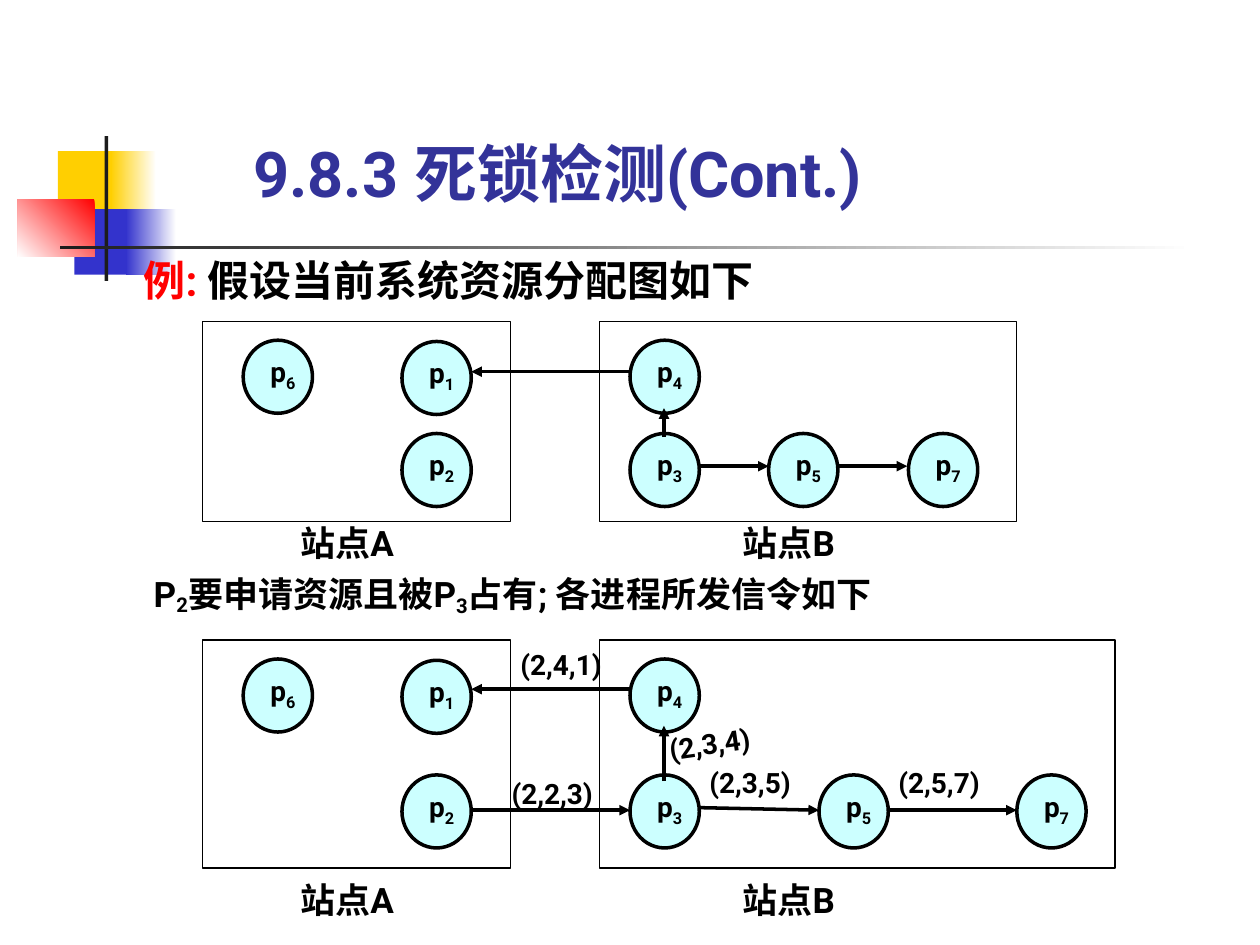
from pptx import Presentation
from pptx.dml.color import RGBColor
from pptx.enum.shapes import MSO_CONNECTOR, MSO_SHAPE
from pptx.enum.text import MSO_ANCHOR, MSO_AUTO_SIZE, PP_ALIGN
from pptx.oxml.ns import qn
from pptx.util import Inches, Pt
from lxml import etree

RECT, OVAL = MSO_SHAPE.RECTANGLE, MSO_SHAPE.OVAL
LEFT, CENTER = PP_ALIGN.LEFT, PP_ALIGN.CENTER
MIDDLE, BOTTOM = MSO_ANCHOR.MIDDLE, MSO_ANCHOR.BOTTOM
GROW = MSO_AUTO_SIZE.SHAPE_TO_FIT_TEXT

FONT = "Roboto"
BLACK = RGBColor(0x00, 0x00, 0x00)
WHITE = RGBColor(0xFF, 0xFF, 0xFF)
RED = RGBColor(0xFF, 0x00, 0x00)
GOLD = RGBColor(0xFF, 0xCF, 0x01)
BLUE = RGBColor(0x33, 0x33, 0xCC)
NAVY = RGBColor(0x33, 0x33, 0x99)
DARK = RGBColor(0x1C, 0x1C, 0x1C)
AQUA = RGBColor(0xCC, 0xFF, 0xFF)

NODE_W, NODE_H = 0.55, 0.58
LABEL_W, LABEL_H = 0.79, 0.24
SITE_A, SITE_B = 1.61, 4.76
COL_6, COL_1, COL_4 = 1.93, 3.19, 5


def place(shape, x, y, w, h):
    shape.left, shape.top = Inches(x), Inches(y)
    shape.width, shape.height = Inches(w), Inches(h)


def add_runs(para, parts, size, color=BLACK):
    """Fill para from (text, baseline percent) pairs."""
    for text, base in parts:
        run = para.add_run()
        run.text = text
        if base:
            run._r.get_or_add_rPr().set("baseline", str(base * 1000))
    para.font.name = FONT
    para.font.size = Pt(size)
    para.font.bold = True
    para.font.color.rgb = color


def set_frame(frame, left=0, bottom=0):
    frame.margin_left, frame.margin_bottom = Inches(left), Inches(bottom)
    frame.margin_top = frame.margin_right = 0


def add_text(slide, x, y, w, h, parts, size, align=LEFT):
    box = slide.shapes.add_textbox(*map(Inches, (x, y, w, h)))
    frame = box.text_frame
    set_frame(frame)
    frame.word_wrap = True
    frame.auto_size = GROW
    para = frame.paragraphs[0]
    para.alignment = align
    add_runs(para, parts, size)
    return box


def add_block(slide, x, y, w, h, color, end=None, angle=180):
    """Add a bare rectangle, solid or fading from end to color."""
    block = slide.shapes.add_shape(RECT, *map(Inches, (x, y, w, h)))
    block.shadow.inherit = False
    block.line.fill.background()
    if end is None:
        block.fill.solid()
        block.fill.fore_color.rgb = color
        return
    block.fill.gradient()
    block.fill.gradient_angle = angle
    for stop, tone, spot in zip(block.fill.gradient_stops, (end, color), (0, 1)):
        stop.color.rgb = tone
        stop.position = spot


def add_site(slide, x, y, w, h):
    site = slide.shapes.add_shape(RECT, *map(Inches, (x, y, w, h)))
    site.shadow.inherit = False
    site.fill.background()
    site.line.color.rgb = BLACK
    site.line.width = Pt(0.75)


def add_node(slide, num, x, y):
    node = slide.shapes.add_shape(OVAL, *map(Inches, (x, y, NODE_W, NODE_H)))
    node.shadow.inherit = False
    node.fill.solid()
    node.fill.fore_color.rgb = AQUA
    node.line.color.rgb = BLACK
    node.line.width = Pt(2)
    frame = node.text_frame
    set_frame(frame, left=0.08, bottom=0.08)
    frame.vertical_anchor = MIDDLE
    para = frame.paragraphs[0]
    para.alignment = CENTER
    para.line_spacing = 1.1
    add_runs(para, [("p", 0), (str(num), -25)], 16)


def add_arrow(slide, x1, y1, x2, y2):
    line = slide.shapes.add_connector(
        MSO_CONNECTOR.STRAIGHT, *map(Inches, (x1, y1, x2, y2)))
    line.line.color.rgb = BLACK
    line.line.width = Pt(2)
    tail = etree.SubElement(line.line._get_or_add_ln(), qn("a:tailEnd"))
    tail.set("type", "triangle")
    etree.SubElement(line._element.spPr, qn("a:effectLst"))


def add_label(slide, text, x, y, turn=0):
    label = add_text(slide, x, y, LABEL_W, LABEL_H, [(text, 0)], 16)
    label.text_frame.paragraphs[0].line_spacing = 0.9
    label.rotation = turn


def add_graph(slide, top, height, wide, low, col_5, col_7, name_y, arrows):
    """Add both sites; low is the top of the lower row of nodes."""
    add_site(slide, SITE_A, top, 2.44, height)
    add_site(slide, SITE_B, top, wide, height)
    high = top + 0.15
    nodes = [(6, COL_6, high), (1, COL_1, high + 0.01), (2, COL_1, low),
             (4, COL_4, high), (3, COL_4, low), (5, col_5, low), (7, col_7, low)]
    for node in nodes:
        add_node(slide, *node)
    for name, x, w in (("站点A", 2.32, 0.87), ("站点B", 5.71, 1.1)):
        add_text(slide, x, name_y, w, 0.33, [(name, 0)], 20, CENTER)
    for arrow in arrows:
        add_arrow(slide, *arrow)


def add_motif(slide):
    add_block(slide, 0.46, 1.2, 0.48, 0.52, GOLD)
    add_block(slide, 0.88, 1.2, 0.36, 0.52, GOLD, WHITE)
    add_block(slide, 0.59, 1.66, 0.46, 0.52, BLUE)
    add_block(slide, 1, 1.66, 0.4, 0.52, BLUE, WHITE)
    add_block(slide, 0.14, 1.58, 0.61, 0.46, WHITE, RED, 225)
    add_block(slide, 0.83, 1.08, 0.03, 1.15, DARK)
    add_block(slide, 0.48, 1.95, 9, 0.03, DARK, WHITE)


def set_title(slide, text):
    title = slide.shapes.title
    place(title, 2.01, 1.07, 5.77, 0.6)
    frame = title.text_frame
    set_frame(frame)
    frame.vertical_anchor = BOTTOM
    frame.auto_size = GROW
    para = frame.paragraphs[0]
    para.alignment = LEFT
    add_runs(para, [(text, 0)], 36, NAVY)


def main():
    prs = Presentation()
    prs.slide_width, prs.slide_height = Inches(10), Inches(7.5)
    slide = prs.slides.add_slide(prs.slide_layouts[5])
    add_motif(slide)
    set_title(slide, "9.8.3 死锁检测(Cont.)")

    intro = add_text(slide, 1.14, 2.02, 5.04, 0.4,
                     [("例: ", 0), ("假设当前系统资源分配图如下", 0)], 24)
    intro.text_frame.paragraphs[0].runs[0].font.color.rgb = RED
    add_graph(slide, 2.55, 1.59, 3.31, 3.44, 6.1, 7.21, 4.14, [
        (6.65, 3.7, 7.2, 3.7), (5.55, 3.7, 6.1, 3.7),
        (5, 2.95, 3.74, 2.95), (5.27, 3.47, 5.27, 3.24)])

    add_text(slide, 1.22, 4.54, 6.22, 0.36,
             [("P", 0), ("2", -16), ("要申请资源且被P", 0), ("3", -18),
              ("占有; 各进程所发信令如下", 0)], 20)
    add_graph(slide, 5.08, 1.81, 4.09, 6.15, 6.5, 8.07, 6.97, [
        (7.05, 6.43, 8.07, 6.43), (5.55, 6.41, 6.5, 6.43),
        (5, 5.47, 3.74, 5.47), (5.27, 6.2, 5.27, 5.76),
        (3.74, 6.43, 5, 6.43)])
    for label in (("(2,2,3)", 4.06, 6.19), ("(2,3,5)", 5.63, 6.11),
                  ("(2,5,7)", 7.13, 6.11), ("(2,3,4)", 5.31, 5.79, 351.9),
                  ("(2,4,1)", 4.13, 5.17)):
        add_label(slide, *label)
    prs.save("out.pptx")


if __name__ == "__main__":
    main()
